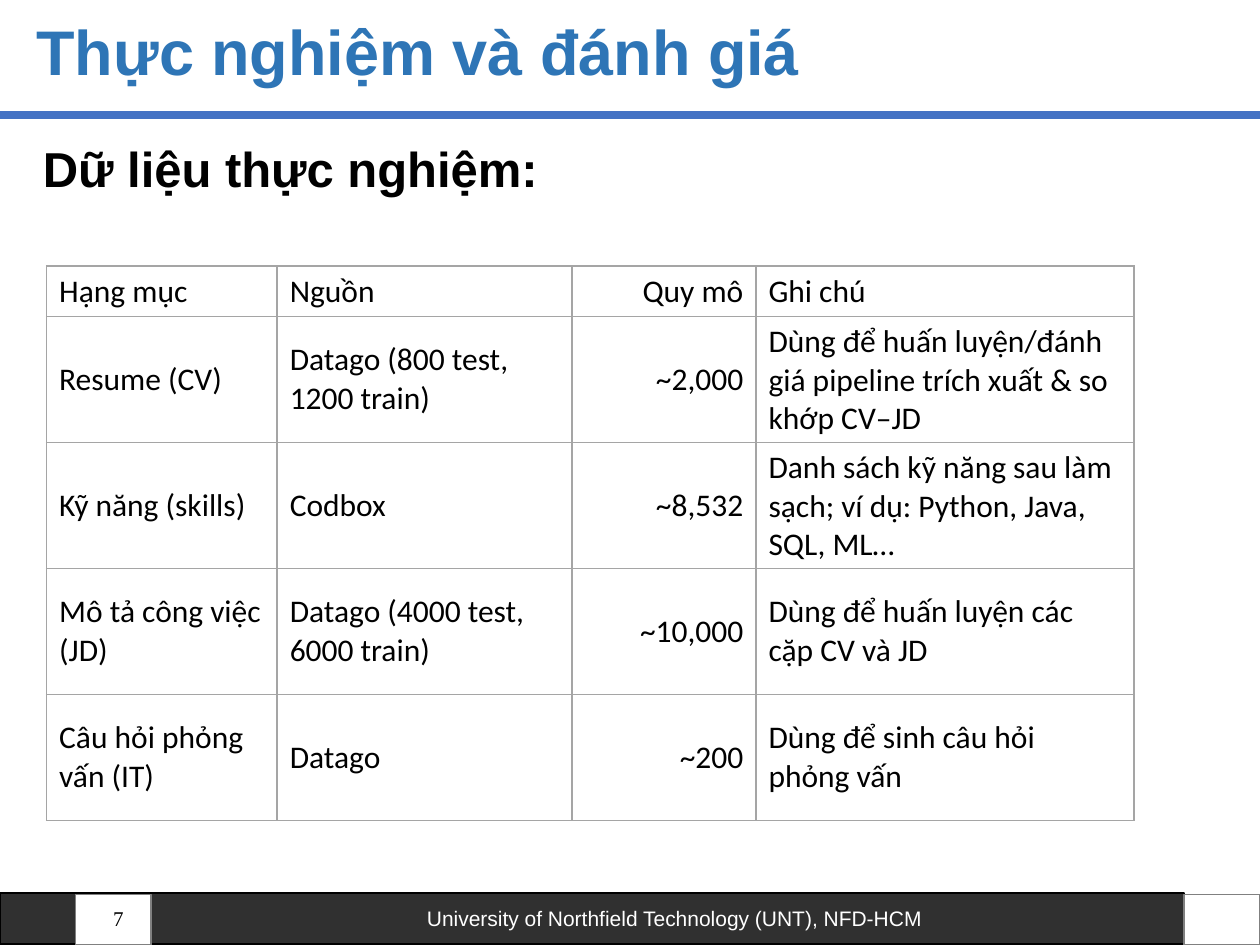
from dataclasses import dataclass

from lxml import etree
from pptx import Presentation, util as u
from pptx.dml.color import RGBColor
from pptx.enum import shapes, text
from pptx.oxml import ns

LEFT, CENTER, RIGHT = text.PP_ALIGN.LEFT, text.PP_ALIGN.CENTER, text.PP_ALIGN.RIGHT


@dataclass(frozen=True)
class Theme:
    """Colours, fonts and type sizes."""
    title: str = "2E75B6"
    rule: str = "4472C4"
    ink: str = "000000"
    paper: str = "FFFFFF"
    box_line: str = "808080"
    table_line: str = "A5A5A5"
    sans: str = "Arial"
    table_font: str = "Calibri"
    serif: str = "Times New Roman"
    title_size: int = 36
    body_size: int = 28
    table_size: int = 18
    footer_size: int = 12


class Deck:
    """Holds the style and the current slide, on a grid of 100 columns by 75 rows."""

    def __init__(self, theme):
        """Open a presentation with one title-and-body slide."""
        self.theme = theme
        self.prs = Presentation()
        self.prs.slide_width, self.prs.slide_height = u.Inches(10), u.Inches(7.5)
        self.s = self.prs.slides.add_slide(self.prs.slide_layouts[1])

    def x(self, cols):
        """Turn columns into a length."""
        return round(self.prs.slide_width * cols / 100)

    def y(self, rows):
        """Turn rows into a length."""
        return round(self.prs.slide_height * rows / 75)

    def box(self, left, top, width, height):
        """Turn a grid box into lengths."""
        return self.x(left), self.y(top), self.x(width), self.y(height)

    def sub(self, parent, tag, **attrs):
        """Add an XML child element."""
        return etree.SubElement(parent, ns.qn(tag), attrs)

    def add_text(self, tf, words, size, font, color, bold=False, align=LEFT):
        """Add one run to the first paragraph."""
        p = tf.paragraphs[0]
        p.alignment = align
        r = p.add_run()
        r.text = words
        r.font.size, r.font.name, r.font.bold = u.Pt(size), font, bold
        r.font.color.rgb = RGBColor.from_string(color)
        return p

    def placeholder(self, index, box, words, size, color, anchor, before=0):
        """Move and fill a template placeholder without a bullet."""
        sp = self.s.placeholders[index]
        sp.left, sp.top, sp.width, sp.height = self.box(*box)
        tf = sp.text_frame
        tf.auto_size, tf.vertical_anchor = text.MSO_AUTO_SIZE.NONE, anchor
        p = self.add_text(tf, words, size, self.theme.sans, color, bold=True)
        p.line_spacing, p.space_before = 0.9, u.Pt(before)
        pPr = p._p.get_or_add_pPr()
        pPr.set("marL", "0")
        pPr.set("indent", "0")
        self.sub(pPr, "a:buNone")

    def rect(self, box, fill, line, alpha=100):
        """Draw a rectangle, optionally see-through."""
        sp = self.s.shapes.add_shape(shapes.MSO_SHAPE.RECTANGLE, *self.box(*box))
        sp.shadow.inherit = False
        sp.fill.solid()
        sp.fill.fore_color.rgb = RGBColor.from_string(fill)
        sp.line.color.rgb = RGBColor.from_string(line)
        sp.line.width = u.Pt(1)
        if alpha < 100:
            color = sp._element.spPr.find(ns.qn("a:solidFill"))[0]
            self.sub(color, "a:alpha", val=str(alpha * 1000))
        return sp

    def rule(self, row, color, width):
        """Draw a line across the slide."""
        line = self.s.shapes.add_connector(
            shapes.MSO_CONNECTOR.STRAIGHT, 0, self.y(row), self.x(100), self.y(row))
        line.line.color.rgb = RGBColor.from_string(color)
        line.line.width = u.Pt(width)
        self.sub(line._element.spPr, "a:effectLst")

    def footer(self, words, number):
        """Draw the footer band, its two boxes and the page number."""
        t = self.theme
        tf = self.rect((0, 70.9, 94, 4), t.ink, t.ink, alpha=81).text_frame
        tf.word_wrap, tf.vertical_anchor = True, text.MSO_ANCHOR.MIDDLE
        tf.margin_left = tf.margin_right = u.Inches(0.15)
        tf.margin_top = tf.margin_bottom = u.Inches(0.07)
        p = self.add_text(tf, words, t.footer_size, t.sans, t.paper, align=CENTER)
        p._p.get_or_add_pPr().set("marL", str(self.x(13.1)))
        for left in (6, 94):
            self.rect((left, 71, 6, 4), t.paper, t.box_line)
        tf = self.s.shapes.add_textbox(*self.box(6.4, 70.9, 4.4, 4)).text_frame
        tf.word_wrap, tf.vertical_anchor = True, text.MSO_ANCHOR.MIDDLE
        self.add_text(tf, number, t.footer_size, t.serif, t.ink, align=RIGHT)

    def borders(self, cell):
        """Give a cell thin lines on all sides."""
        tcPr = cell._tc.get_or_add_tcPr()
        for i, side in enumerate("LRTB"):
            ln = self.sub(tcPr, f"a:ln{side}", w=str(u.Pt(1)))
            self.sub(self.sub(ln, "a:solidFill"), "a:srgbClr", val=self.theme.table_line)
            tcPr.insert(i, ln)

    def table(self, left, top, widths, heights, aligns, rows):
        """Draw a plain ruled table."""
        t = self.theme
        box = self.box(left, top, sum(widths), sum(heights))
        table = self.s.shapes.add_table(len(rows), len(widths), *box).table
        table.first_row = table.horz_banding = False
        for column, width in zip(table.columns, widths):
            column.width = self.x(width)
        for row, height, values in zip(table.rows, heights, rows):
            row.height = self.y(height)
            for cell, align, words in zip(row.cells, aligns, values):
                cell.vertical_anchor = text.MSO_ANCHOR.MIDDLE
                cell.fill.background()
                self.borders(cell)
                self.add_text(cell.text_frame, words, t.table_size, t.table_font,
                              t.ink, align=align)


def main():
    """Build the slide and save it."""
    theme = Theme()
    deck = Deck(theme)
    deck.footer("University of Northfield Technology (UNT), NFD-HCM", "7")
    deck.rule(9.1, theme.rule, 4.5)
    deck.placeholder(0, (1.9, 1.6, 89.8, 5.6), "Thực nghiệm và đánh giá",
                     theme.title_size, theme.title, text.MSO_ANCHOR.MIDDLE)
    deck.placeholder(1, (2.4, 11, 94, 57.9), "Dữ liệu thực nghiệm:",
                     theme.body_size, theme.ink, text.MSO_ANCHOR.TOP, before=10)
    deck.table(
        3.7, 21.1, [18.3, 23.4, 14.6, 30], [4] + [10] * 4, [LEFT, LEFT, RIGHT, LEFT],
        [
            ("Hạng mục", "Nguồn", "Quy mô", "Ghi chú"),
            ("Resume (CV)", "Datago (800 test, 1200 train)", "~2,000",
             "Dùng để huấn luyện/đánh giá pipeline trích xuất & so khớp CV–JD"),
            ("Kỹ năng (skills)", "Codbox", "~8,532",
             "Danh sách kỹ năng sau làm sạch; ví dụ: Python, Java, SQL, ML…"),
            ("Mô tả công việc (JD)", "Datago (4000 test, 6000 train)", "~10,000",
             "Dùng để huấn luyện các cặp CV và JD"),
            ("Câu hỏi phỏng vấn (IT)", "Datago", "~200",
             "Dùng để sinh câu hỏi phỏng vấn"),
        ])
    deck.prs.save("out.pptx")


if __name__ == "__main__":
    main()
